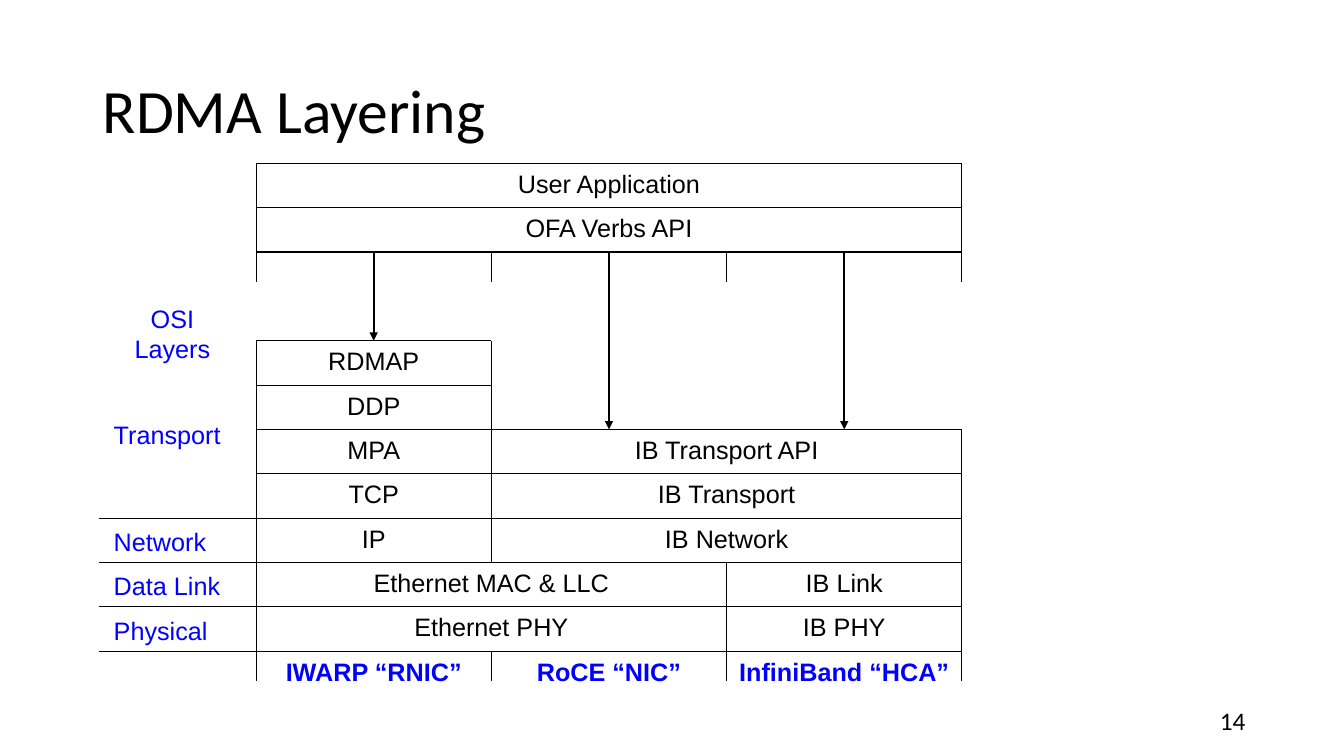
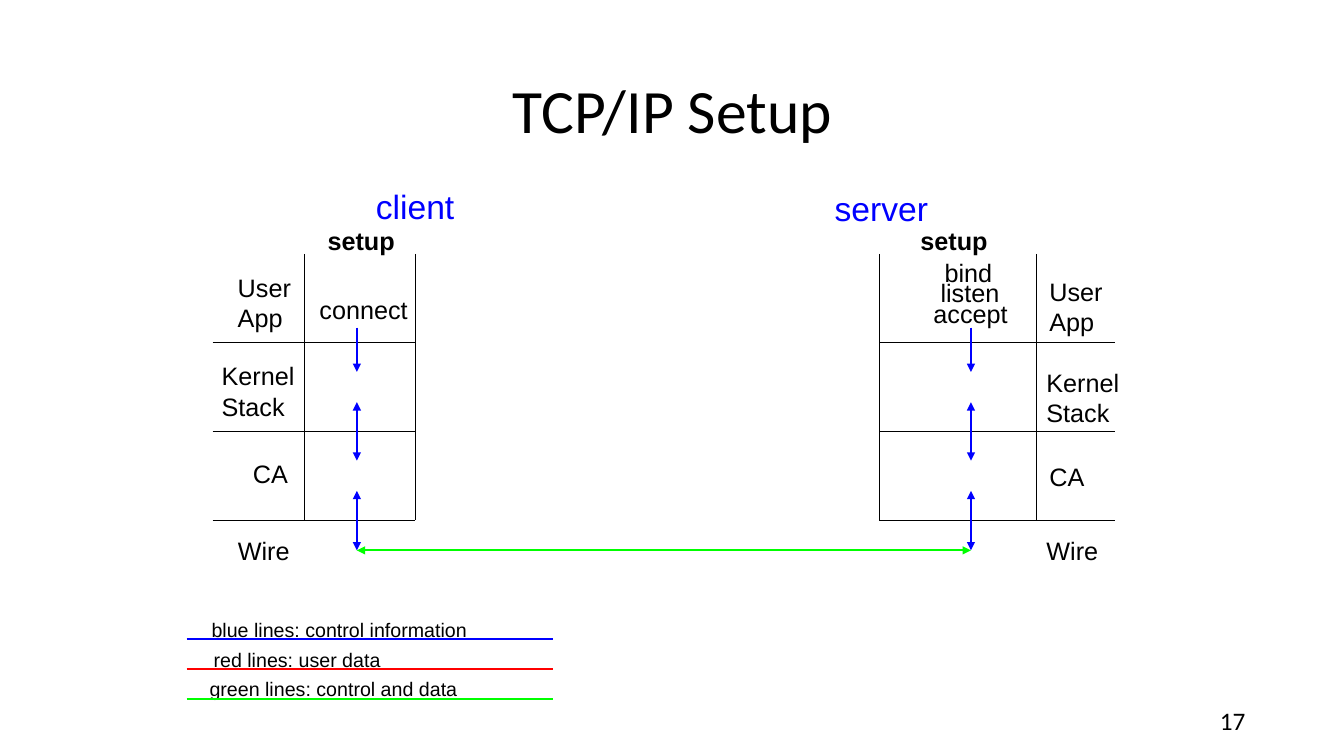
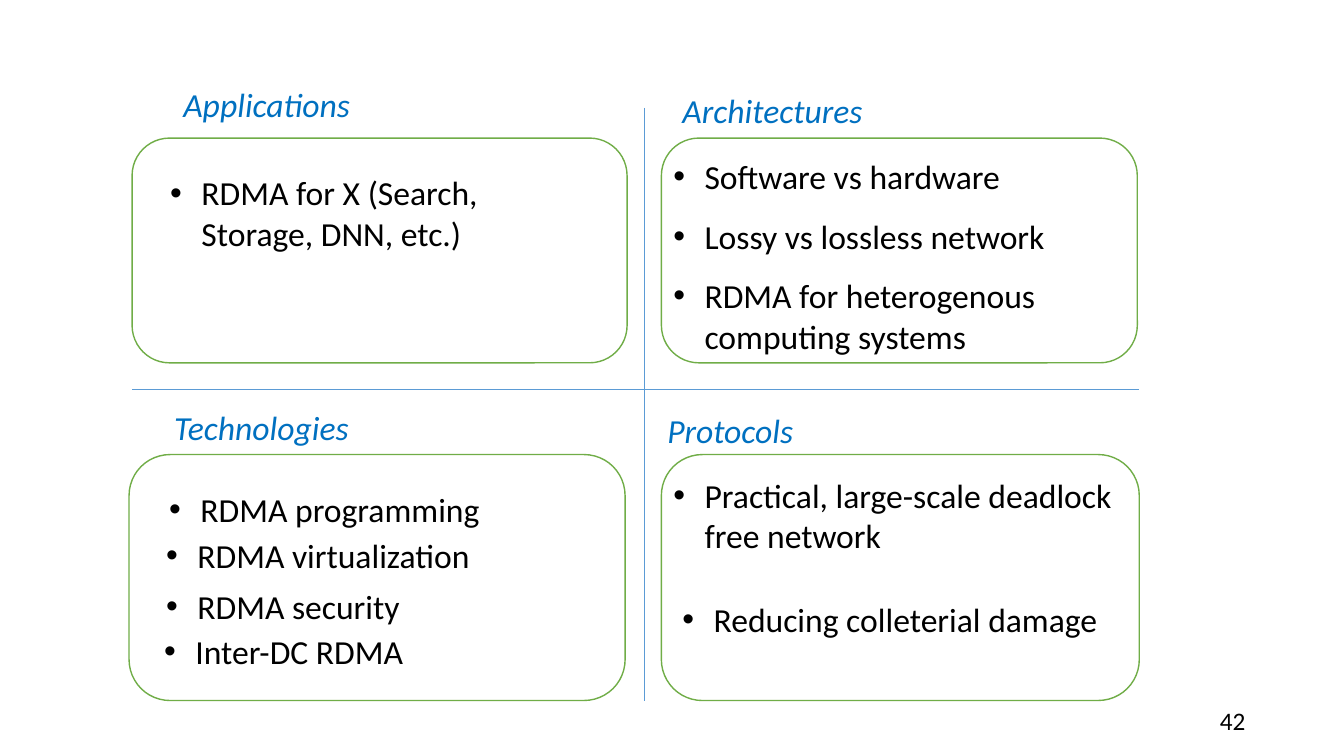
from pptx import Presentation
from pptx.dml.color import RGBColor
from pptx.enum.shapes import MSO_CONNECTOR, MSO_SHAPE
from pptx.enum.text import MSO_ANCHOR, PP_ALIGN
from pptx.oxml.ns import qn
from pptx.util import Inches, Pt
from lxml.etree import SubElement

# Shared style
BLACK, WHITE, BLUE, RED, GREEN = "000000", "FFFFFF", "0000FF", "FF0000", "00FF00"
HEADING_BLUE, BOX_GREEN, DIVIDER = "0070C0", "70AD47", "5B9BD5"
THIN, THICK = 0.75, 1.45
LABEL = {"name": "Arial", "size": Pt(18)}
BOLD_LABEL = {**LABEL, "bold": True}
ROLE = {**LABEL, "size": Pt(24)}
LEGEND = {**LABEL, "size": Pt(14)}
TITLE = {"name": "Calibri", "size": Pt(44)}
PAGE_NUMBER = {**TITLE, "size": Pt(18)}
BODY = {**TITLE, "size": Pt(24)}
HEADING = {**BODY, "italic": True}
LINE_HEIGHT = 0.39

presentation = Presentation()
presentation.slide_width = Inches(13.33)
presentation.slide_height = Inches(7.5)


def add_text(slide, text, left, top, width, height, font_format, color=BLACK,
             align=PP_ALIGN.LEFT, anchor=MSO_ANCHOR.TOP, spacing=1.0, bullet=False):
    box = slide.shapes.add_textbox(Inches(left), Inches(top), Inches(width), Inches(height))
    frame = box.text_frame
    frame.word_wrap = True
    frame.vertical_anchor = anchor
    frame.text = text
    for paragraph in frame.paragraphs:
        paragraph.alignment = align
        paragraph.line_spacing = spacing
        font = paragraph.runs[0].font
        font.color.rgb = RGBColor.from_string(color)
        for name, value in font_format.items():
            setattr(font, name, value)
        if bullet:
            properties = paragraph._p.get_or_add_pPr()
            properties.set("marL", str(Inches(0.31)))
            properties.set("indent", str(-Inches(0.31)))
            SubElement(properties, qn("a:buFont")).set("typeface", "Arial")
            SubElement(properties, qn("a:buChar")).set("char", "•")


def add_line(slide, start, end, color=BLACK, width=THIN, arrows=()):
    line = slide.shapes.add_connector(
        MSO_CONNECTOR.STRAIGHT, *[Inches(value) for value in (*start, *end)])
    line.line.color.rgb = RGBColor.from_string(color)
    line.line.width = Pt(width)
    for arrow in arrows:
        SubElement(line.line._get_or_add_ln(), qn(f"a:{arrow}")).set("type", "triangle")
    SubElement(line._element.spPr, qn("a:effectLst"))


# Slides with their titles and page numbers
slides = []
for title, align, number in [
    ("RDMA Layering", PP_ALIGN.LEFT, "14"),
    ("TCP/IP Setup", PP_ALIGN.CENTER, "17"),
    (None, None, "42"),
]:
    slide = presentation.slides.add_slide(presentation.slide_layouts[6])
    slides.append(slide)
    add_text(slide, number, 12, 6.95, 0.5, 0.4, PAGE_NUMBER)
    if title:
        add_text(slide, title, 0.92, 0.4, 11.5, 1.45, TITLE, align=align,
                 anchor=MSO_ANCHOR.MIDDLE, spacing=0.9)
layering, setup, topics = slides

# Layering: grid of three columns and rows of equal height
columns = [2.54 + 7 / 3 * index for index in range(4)]
rows = [1.62 + 0.44 * index for index in range(12)]
side_left, stub = 0.98, 0.3

# Horizontal rules: row, left, right
for row, left, right in [
    (0, columns[0], columns[3]), (1, columns[0], columns[3]), (2, columns[0], columns[3]),
    (4, columns[0], columns[1]), (5, columns[0], columns[1]),
    (6, columns[0], columns[3]), (7, columns[0], columns[3]),
    (8, side_left, columns[3]), (9, side_left, columns[3]),
    (10, side_left, columns[3]), (11, side_left, columns[3]),
]:
    add_line(layering, (left, rows[row]), (right, rows[row]))

# Vertical rules: column, top, bottom
for column, top, bottom in [
    (0, rows[0], rows[2] + stub), (1, rows[2], rows[2] + stub),
    (2, rows[2], rows[2] + stub), (3, rows[0], rows[2] + stub),
    (0, rows[4], rows[11] + stub), (1, rows[4], rows[9]),
    (1, rows[11], rows[11] + stub), (2, rows[9], rows[11] + stub),
    (3, rows[6], rows[11] + stub),
]:
    add_line(layering, (columns[column], top), (columns[column], bottom))

# Arrows from the API down to each stack
for column, row in enumerate([4, 6, 6]):
    middle = (columns[column] + columns[column + 1]) / 2
    add_line(layering, (middle, rows[2]), (middle, rows[row]), width=THICK, arrows=["tailEnd"])

# Layer names: text, row, first column, end column
adapters = 11
for text, row, first, end in [
    ("User Application", 0, 0, 3), ("OFA Verbs API", 1, 0, 3),
    ("RDMAP", 4, 0, 1), ("DDP", 5, 0, 1), ("MPA", 6, 0, 1), ("TCP", 7, 0, 1), ("IP", 8, 0, 1),
    ("IB Transport API", 6, 1, 3), ("IB Transport", 7, 1, 3), ("IB Network", 8, 1, 3),
    ("Ethernet MAC & LLC", 9, 0, 2), ("IB Link", 9, 2, 3),
    ("Ethernet PHY", 10, 0, 2), ("IB PHY", 10, 2, 3),
    ("IWARP “RNIC”", adapters, 0, 1), ("RoCE “NIC”", adapters, 1, 2),
    ("InfiniBand “HCA”", adapters, 2, 3),
]:
    font_format, color = (BOLD_LABEL, BLUE) if row == adapters else (LABEL, BLACK)
    add_text(layering, text, columns[first], rows[row], columns[end] - columns[first],
             LINE_HEIGHT, font_format, color, PP_ALIGN.CENTER)

# OSI layer names
add_text(layering, "OSI\nLayers", 1.2, 2.96, 1.02, 0.69, LABEL, BLUE, PP_ALIGN.CENTER)
for text, top in [("Transport", 4.11), ("Network", rows[8] + 0.03),
                  ("Data Link", rows[9] + 0.03), ("Physical", rows[10] + 0.03)]:
    add_text(layering, text, 1.03, top, 1.5, LINE_HEIGHT, LABEL, BLUE)

# Setup: client and server share the same levels
level_top, level_height = 2.52, 0.88
levels = [level_top + level_height * index for index in range(4)]
client_lane, server_lane = 3.54, 9.63
for left, right, walls, lane in [
    (2.11, 4.12, (3.02, 4.12), client_lane),
    (8.72, 11.06, (8.72, 10.28), server_lane),
]:
    for level in levels[1:]:
        add_line(setup, (left, level), (right, level))
    for wall in walls:
        add_line(setup, (wall, levels[0]), (wall, levels[3]))
    for level, rise, drop, arrows in [
        (levels[1], 0.15, 0.29, ["tailEnd"]),
        (levels[2], 0.29, 0.29, ["headEnd", "tailEnd"]),
        (levels[3], 0.29, 0.3, ["headEnd", "tailEnd"]),
    ]:
        add_line(setup, (lane, level - rise), (lane, level + drop), BLUE, THICK, arrows)
wire = levels[3] + 0.3
add_line(setup, (client_lane, wire), (server_lane, wire), GREEN, THICK, ["headEnd", "tailEnd"])

# Roles, levels and calls: text, left, top, width
for text, left, top, width in [
    ("User\nApp", 2.26, 2.65, 0.94), ("Kernel\nStack", 2.1, 3.53, 1.19),
    ("CA", 2.41, 4.5, 0.71), ("Wire", 2.26, 5.26, 0.92), ("connect", 3.07, 2.87, 1.39),
    ("bind", 9.27, 2.5, 0.87), ("listen", 9.23, 2.7, 1.01), ("accept", 9.16, 2.91, 1.21),
    ("User\nApp", 10.31, 2.69, 0.94), ("Kernel\nStack", 10.28, 3.59, 1.19),
    ("CA", 10.31, 4.53, 0.71), ("Wire", 10.28, 5.26, 0.92),
]:
    height = 0.69 if "\n" in text else LINE_HEIGHT
    add_text(setup, text, left, top, width, height, LABEL)
for role, role_left, role_top, setup_left in [
    ("client", 3.63, 1.8, 3.15), ("server", 8.18, 1.82, 9.03),
]:
    add_text(setup, role, role_left, role_top, 1.4, 0.5, ROLE, BLUE)
    add_text(setup, "setup", setup_left, 2.19, 1.12, LINE_HEIGHT, BOLD_LABEL)

# Legend
for index, (text, left, color) in enumerate([
    ("blue lines: control information", 2, BLUE),
    ("red lines: user data", 2.02, RED),
    ("green lines: control and data", 1.98, GREEN),
]):
    top = 6.08 + 0.295 * index
    add_text(setup, text, left, top, 3.5, 0.33, LEGEND)
    add_line(setup, (1.85, top + 0.26), (5.48, top + 0.26), color, THICK)

# Topics: cross and four quadrants
add_line(topics, (1.31, 3.86), (11.3, 3.86), DIVIDER, 0.5)
add_line(topics, (6.39, 1.07), (6.39, 6.95), DIVIDER, 0.5)
for frame, heading, heading_place, bullets in [
    ((1.31, 1.37, 4.91, 2.23), "Applications", (1.72, 0.78),
     [("RDMA for X (Search, Storage, DNN, etc.)", 1.59, 1.66, 4.36)]),
    ((6.56, 1.37, 4.72, 2.23), "Architectures", (6.67, 0.84),
     [("Software vs hardware", 6.58, 1.5, 3.97),
      ("Lossy vs lossless network", 6.58, 2.09, 3.97),
      ("RDMA for heterogenous computing systems", 6.58, 2.68, 4.48)]),
    ((1.28, 4.51, 4.92, 2.44), "Technologies", (1.63, 3.99),
     [("RDMA programming", 1.58, 4.8, 3.61),
      ("RDMA virtualization", 1.55, 5.26, 4.14),
      ("RDMA security", 1.55, 5.76, 4.14),
      ("Inter-DC RDMA", 1.53, 6.21, 4.14)]),
    ((6.56, 4.51, 4.74, 2.44), "Protocols", (6.52, 4.02),
     [("Practical, large-scale deadlock free network", 6.58, 4.66, 4.72),
      ("Reducing colleterial damage", 6.67, 5.89, 4.49)]),
]:
    shape = topics.shapes.add_shape(
        MSO_SHAPE.ROUNDED_RECTANGLE, *[Inches(value) for value in frame])
    shape.shadow.inherit = False
    shape.fill.solid()
    shape.fill.fore_color.rgb = RGBColor.from_string(WHITE)
    shape.line.color.rgb = RGBColor.from_string(BOX_GREEN)
    shape.line.width = Pt(1)
    add_text(topics, heading, *heading_place, 2.1, 0.5, HEADING, HEADING_BLUE)
    for text, left, top, width in bullets:
        height = 0.91 if len(text) > 30 else 0.5
        add_text(topics, text, left, top, width, height, BODY, bullet=True)

presentation.save("out.pptx")
